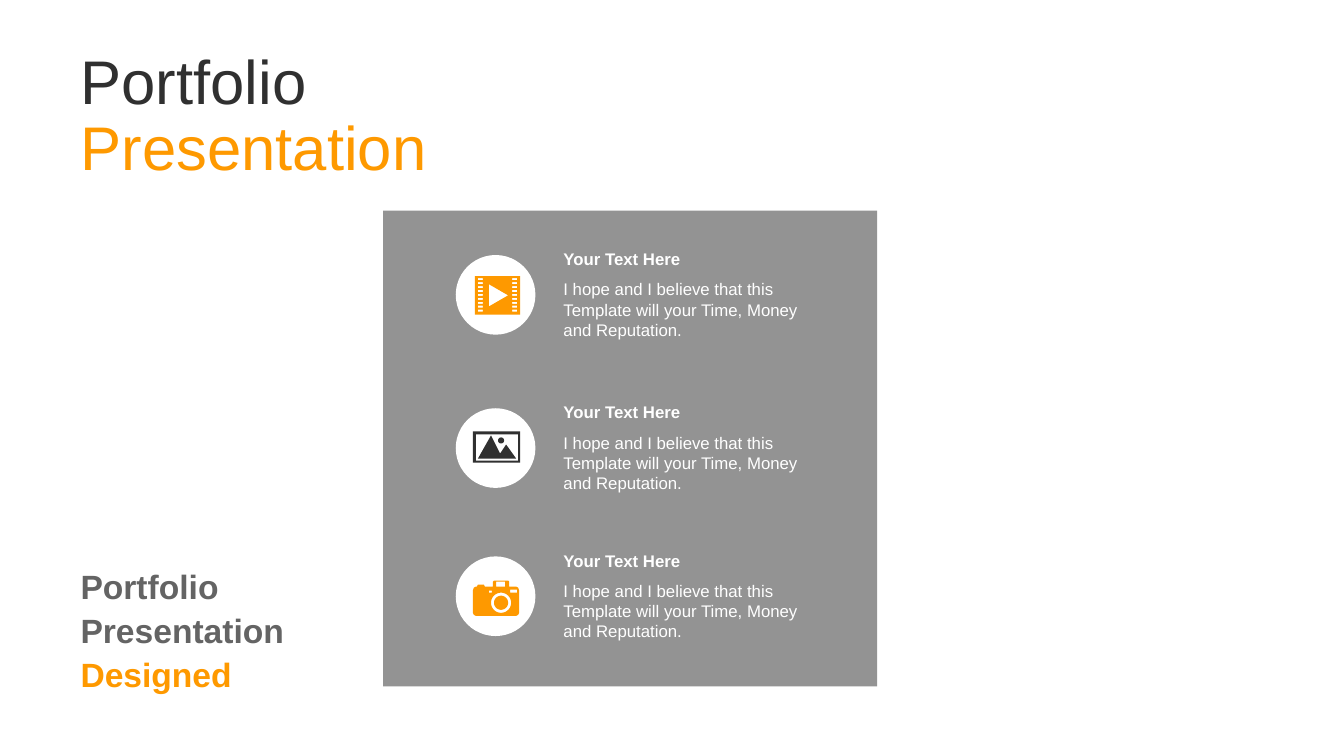
from math import cos, pi, sin

from lxml import etree
from pptx import Presentation
from pptx.dml.color import RGBColor
from pptx.enum.shapes import MSO_SHAPE
from pptx.enum.text import MSO_ANCHOR, MSO_AUTO_SIZE, PP_ALIGN
from pptx.oxml.ns import qn
from pptx.util import Inches, Pt

RECTANGLE, OVAL = MSO_SHAPE.RECTANGLE, MSO_SHAPE.OVAL
TOP, MIDDLE = MSO_ANCHOR.TOP, MSO_ANCHOR.MIDDLE
FIXED, GROW = MSO_AUTO_SIZE.NONE, MSO_AUTO_SIZE.SHAPE_TO_FIT_TEXT
LEFT = PP_ALIGN.LEFT

ORANGE = RGBColor(0xFE, 0x99, 0x00)
DARK = RGBColor(0x30, 0x30, 0x30)
GRAY = RGBColor(0x64, 0x64, 0x64)
PANEL_GRAY = RGBColor(0x78, 0x78, 0x78)
WHITE = RGBColor(0xFF, 0xFF, 0xFF)
FONT = "Arial"

# Content: (text, colour) spans, and rows of (top, icon, icon colour, heading, body)
TITLE = [("Portfolio ", DARK), ("Presentation", ORANGE)]
TAGLINE = [("Portfolio Presentation ", GRAY), ("Designed", ORANGE)]
HEADING = "Your Text Here"
BODY = "I hope and I believe that this Template will your Time, Money and Reputation."
ROWS = [
    (2.53, "film", ORANGE, HEADING, BODY),
    (4.05, "landscape", DARK, HEADING, BODY),
    (5.52, "camera", ORANGE, HEADING, BODY),
]
CIRCLE_LEFT, CIRCLE_SIZE = 4.52, 0.79
TEXT_LEFT, TEXT_WIDTH = 5.49, 2.63


# Icon outlines, in inches from the corner of their circle
def box_outline(left, top, right, bottom):
    return [(left, top), (right, top), (right, bottom), (left, bottom)]


def ring_outline(x, y, radius, steps=40):
    angles = [2 * pi * step / steps for step in range(steps)]
    return [(x + radius * cos(angle), y + radius * sin(angle)) for angle in angles]


FILM_HOLES = [
    box_outline(left, 0.23 + 0.039 * row, left + 0.05, 0.25 + 0.039 * row)
    for left in (0.22, 0.56) for row in range(9)
]
CAMERA_BODY = [
    (0.38, 0.24), (0.52, 0.24), (0.53, 0.25), (0.53, 0.30), (0.60, 0.30),
    (0.62, 0.31), (0.63, 0.34), (0.63, 0.56), (0.62, 0.58), (0.60, 0.59),
    (0.20, 0.59), (0.18, 0.58), (0.17, 0.56), (0.17, 0.34), (0.18, 0.31),
    (0.20, 0.30), (0.21, 0.30), (0.22, 0.28), (0.28, 0.28), (0.29, 0.30),
    (0.37, 0.30), (0.37, 0.25),
]
ICONS = {
    "film": [
        box_outline(0.19, 0.21, 0.64, 0.59),
        [(0.33, 0.29), (0.52, 0.40), (0.33, 0.51)],
        *FILM_HOLES,
    ],
    "landscape": [
        box_outline(0.17, 0.23, 0.64, 0.54),
        box_outline(0.20, 0.26, 0.62, 0.52),
        ring_outline(0.45, 0.32, 0.03),
        [(0.35, 0.27), (0.44, 0.45), (0.50, 0.36), (0.60, 0.50), (0.22, 0.50)],
    ],
    "camera": [
        CAMERA_BODY,
        ring_outline(0.45, 0.46, 0.10),
        ring_outline(0.45, 0.46, 0.07),
        box_outline(0.33, 0.34, 0.36, 0.36),
        box_outline(0.54, 0.33, 0.61, 0.36),
        box_outline(0.40, 0.25, 0.49, 0.30),
    ],
}


def paint(shape, color):
    shape.fill.solid()
    shape.fill.fore_color.rgb = color
    shape.line.fill.background()
    shape.shadow.inherit = False


def add_shape(page, kind, left, top, width, height, color):
    shape = page.shapes.add_shape(
        kind, Inches(left), Inches(top), Inches(width), Inches(height))
    paint(shape, color)
    return shape


def add_icon(page, outlines, left, top, color):
    placed = [[(Inches(left + x), Inches(top + y)) for x, y in outline]
              for outline in outlines]
    builder = page.shapes.build_freeform(*placed[0][0])
    builder.add_line_segments(placed[0][1:], close=True)
    for outline in placed[1:]:
        builder.move_to(*outline[0])
        builder.add_line_segments(outline[1:], close=True)
    paint(builder.convert_to_shape(), color)


def write(box, spans, size, bold=False, anchor=TOP, fit=GROW, spacing=1.0):
    frame = box.text_frame
    frame.word_wrap = True
    frame.auto_size = fit
    frame.vertical_anchor = anchor
    para = frame.paragraphs[0]
    para.alignment = LEFT
    para.line_spacing = spacing
    for text, color in spans:
        span = para.add_run()
        span.text = text
        span.font.name = FONT
        span.font.size = Pt(size)
        span.font.bold = bold
        span.font.color.rgb = color


def add_text(page, left, top, width, height, spans, size, **style):
    box = page.shapes.add_textbox(
        Inches(left), Inches(top), Inches(width), Inches(height))
    write(box, spans, size, **style)


def main():
    deck = Presentation()
    deck.slide_width, deck.slide_height = Inches(13.33), Inches(7.5)
    page = deck.slides.add_slide(deck.slide_layouts[5])

    # Title and tagline
    title = page.shapes.title
    title.left, title.top = Inches(0.7), Inches(0.26)
    title.width, title.height = Inches(4.13), Inches(1.81)
    write(title, TITLE, 44, anchor=MIDDLE, fit=FIXED, spacing=0.9)
    add_text(page, 0.7, 5.38, 2.58, 1.7, TAGLINE, 24,
             bold=True, anchor=MIDDLE, fit=FIXED, spacing=1.1)

    # Translucent panel
    panel = add_shape(page, RECTANGLE, 3.8, 2.09, 4.9, 4.72, PANEL_GRAY)
    tint = next(panel.fill._xPr.iter(qn("a:srgbClr")))
    etree.SubElement(tint, qn("a:alpha"), val="80000")

    # Rows: circle, icon, heading and body
    for top, icon, color, heading, body in ROWS:
        add_shape(page, OVAL, CIRCLE_LEFT, top, CIRCLE_SIZE, CIRCLE_SIZE, WHITE)
        add_icon(page, ICONS[icon], CIRCLE_LEFT, top, color)
        add_text(page, TEXT_LEFT, top - 0.11, TEXT_WIDTH, 0.3,
                 [(heading, WHITE)], 12, bold=True)
        add_text(page, TEXT_LEFT, top + 0.19, TEXT_WIDTH, 0.71,
                 [(body, WHITE)], 12)

    deck.save("out.pptx")


if __name__ == "__main__":
    main()
